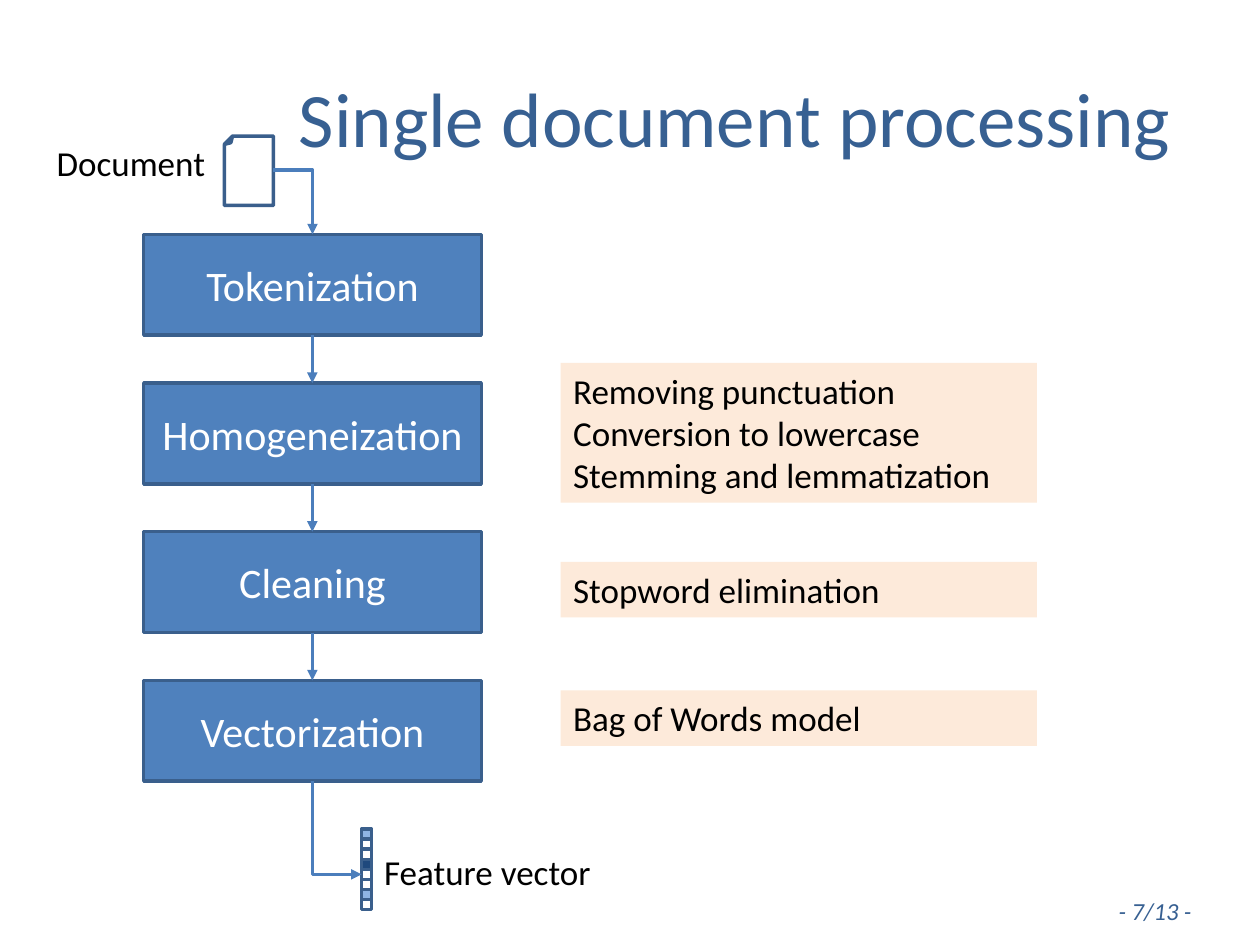
import lxml.etree
import pptx
import pptx.util
import pptx.dml.color
import pptx.enum.shapes
import pptx.enum.text
import pptx.oxml.ns
from dataclasses import dataclass

Inches = pptx.util.Inches
Shape = pptx.enum.shapes.MSO_SHAPE
Align = pptx.enum.text.PP_ALIGN
Anchor = pptx.enum.text.MSO_ANCHOR
qn = pptx.oxml.ns.qn


@dataclass(frozen=True)
class Theme:
    font: str = "Calibri"
    title: str = "376092"
    step: str = "4F81BD"
    outline: str = "3A5F8C"
    arrow: str = "4B7EBC"
    note: str = "FDEADA"
    light: str = "8EB4E3"
    dark: str = "1F497D"
    white: str = "FFFFFF"
    black: str = "000000"
    title_size: int = 44
    step_size: int = 24
    body_size: int = 20
    footer_size: int = 14
    line_width: int = 2


THEME = Theme()


def rgb(value):
    return pptx.dml.color.RGBColor.from_string(value)


def write(shape, text, size, color, align=Align.LEFT, anchor=Anchor.TOP, italic=False, wrap=True):
    frame = shape.text_frame
    frame.text = text
    frame.word_wrap = wrap
    frame.vertical_anchor = anchor
    for para in frame.paragraphs:
        para.alignment = align
        for span in para.runs:
            span.font.name = THEME.font
            span.font.size = pptx.util.Pt(size)
            span.font.color.rgb = rgb(color)
            span.font.italic = italic


def add_label(page, box, text, size, color, **options):
    label = page.shapes.add_textbox(*map(Inches, box))
    write(label, text, size, color, **options)


def add_box(page, box, fill, outline=None, kind=Shape.RECTANGLE):
    shape = page.shapes.add_shape(kind, *map(Inches, box))
    shape.shadow.inherit = False
    shape.fill.solid()
    shape.fill.fore_color.rgb = rgb(fill)
    if outline:
        shape.line.color.rgb = rgb(outline)
        shape.line.width = pptx.util.Pt(THEME.line_width)
    else:
        shape.line.fill.background()
    return shape


def add_arrow(page, start, end, preset, down_first):
    """Bent arrow that leaves start downwards or to the right."""
    (x1, y1), (x2, y2) = start, end
    if down_first:
        # The frame is laid on its side about the same centre, then turned
        middle_x, middle_y = (x1 + x2) / 2, (y1 + y2) / 2
        half_w, half_h = (y2 - y1) / 2, (x2 - x1) / 2
        x1, x2 = middle_x - half_w, middle_x + half_w
        y1, y2 = middle_y - half_h, middle_y + half_h
    arrow = page.shapes.add_connector(
        pptx.enum.shapes.MSO_CONNECTOR.ELBOW, Inches(x1), Inches(y1), Inches(x2), Inches(y2))
    arrow.line.color.rgb = rgb(THEME.arrow)
    arrow.line.width = pptx.util.Pt(THEME.line_width)
    properties = arrow.element.spPr
    properties.find(qn("a:prstGeom")).set("prst", preset)
    if down_first:
        frame = properties.find(qn("a:xfrm"))
        frame.set("rot", str(270 * 60000))
        frame.set("flipH", "1")
    lxml.etree.SubElement(properties.find(qn("a:ln")), qn("a:tailEnd"), type="triangle")
    lxml.etree.SubElement(properties, qn("a:effectLst"))


def add_heading(page, box):
    add_label(page, box, "Single document processing", THEME.title_size, THEME.title,
              align=Align.CENTER, anchor=Anchor.MIDDLE)


def add_document(page, box):
    left, top, width, height = box
    add_label(page, (left, top, 1.65, 0.77), "Document", THEME.body_size, THEME.black)
    icon = add_box(page, (left + width - 0.39, top + 0.01, 0.39, height),
                   THEME.white, THEME.outline, Shape.FOLDED_CORNER)
    icon.rotation = 180


def add_steps(page, box, names, pitch):
    left, top, width, height = box
    middle = left + width / 2
    for index, name in enumerate(names):
        y = top + index * pitch
        step = add_box(page, (left, y, width, height), THEME.step, THEME.outline)
        write(step, name, THEME.step_size, THEME.white, Align.CENTER, Anchor.MIDDLE)
        if index:
            add_arrow(page, (middle, y - pitch + height), (middle, y), "bentConnector3", True)


def add_note(page, box, text):
    note = add_box(page, box, THEME.note)
    write(note, text, THEME.body_size, THEME.black)


def add_vector(page, box):
    left, top, width, height = box
    fills = [THEME.light, THEME.white, THEME.white, THEME.dark,
             THEME.white, THEME.white, THEME.light, THEME.white]
    cell = height / len(fills)
    # Cells, top to bottom
    for index, fill in enumerate(fills):
        add_box(page, (left, top + index * cell, width, cell), fill, THEME.outline)
    add_label(page, (left + width, top + 0.12, 1.97, 0.44), "Feature vector",
              THEME.body_size, THEME.black)


def build_slide(deck):
    page = deck.slides.add_slide(deck.slide_layouts[6])

    # Title and page number
    add_heading(page, (2.17, 0.3, 7.33, 1.25))
    add_label(page, (8.78, 7.06, 1.03, 0.34), "- 7/13 -", THEME.footer_size, THEME.title,
              italic=True, wrap=False)

    # Pipeline from document to feature vector
    add_document(page, (0.35, 1.07, 1.82, 0.55))
    add_steps(page, (1.14, 1.86, 2.68, 0.8),
              ["Tokenization", "Homogeneization", "Cleaning", "Vectorization"], 1.18)
    add_vector(page, (2.87, 6.58, 0.08, 0.64))
    add_arrow(page, (2.17, 1.35), (2.48, 1.86), "bentConnector2", False)
    add_arrow(page, (2.48, 6.2), (2.87, 6.94), "bentConnector2", True)

    # Notes beside the steps
    notes = [
        (2.88, 1.11, "Removing punctuation\nConversion to lowercase\nStemming and lemmatization"),
        (4.46, 0.44, "Stopword elimination"),
        (5.48, 0.44, "Bag of Words model"),
    ]
    for top, height, text in notes:
        add_note(page, (4.45, top, 3.78, height), text)


deck = pptx.Presentation()
deck.slide_width, deck.slide_height = Inches(10), Inches(7.5)
build_slide(deck)
deck.save("out.pptx")
